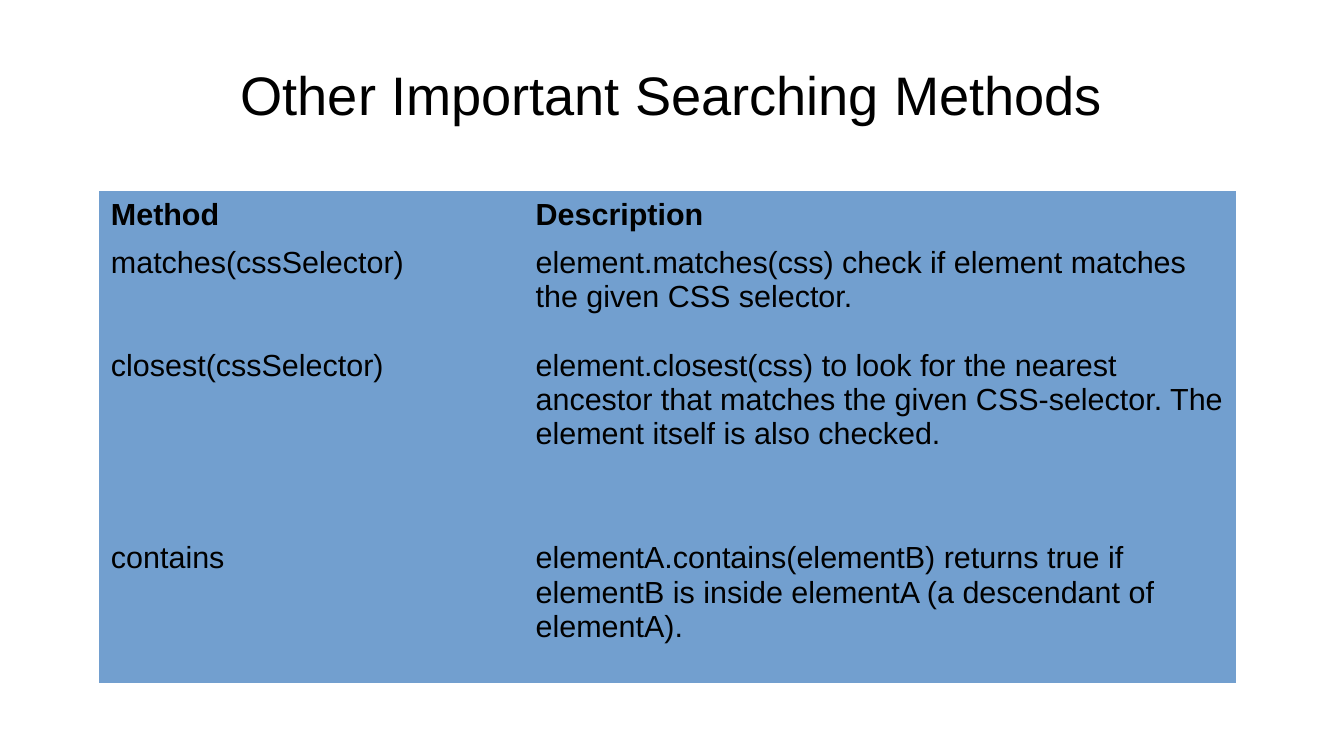
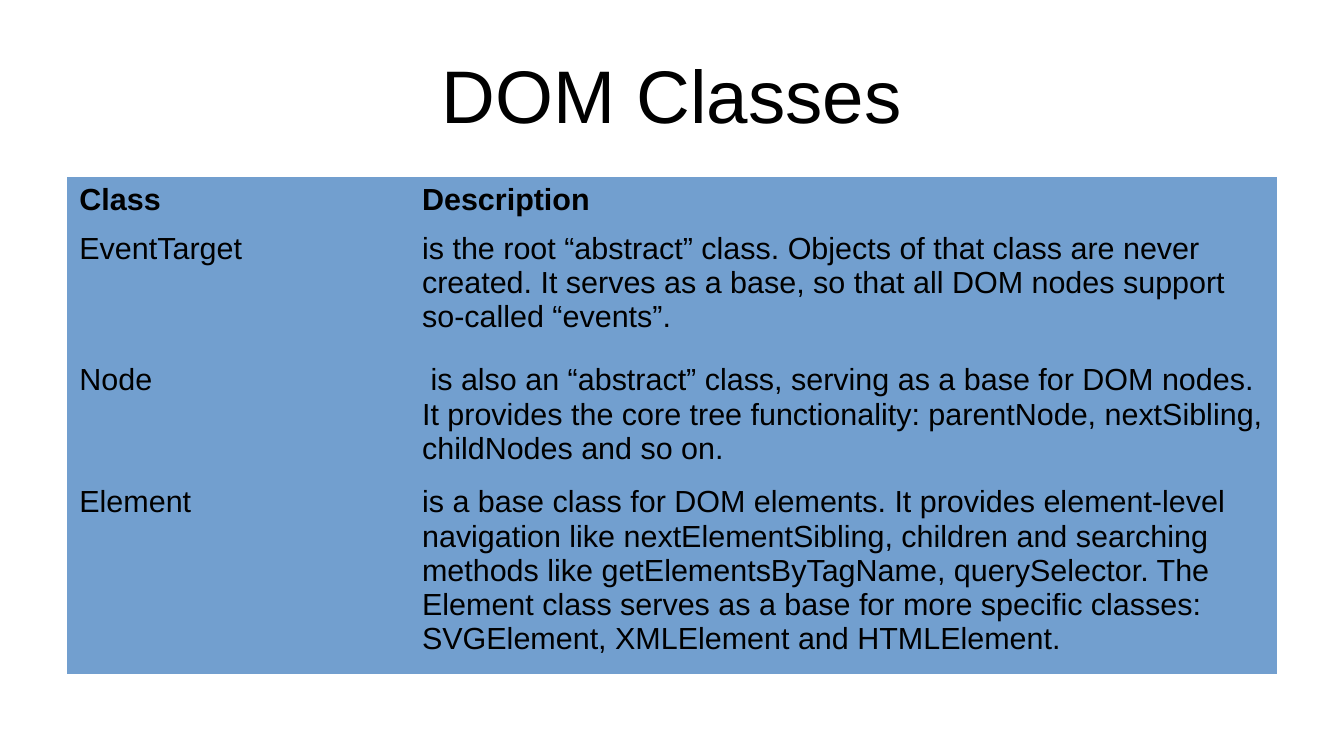
import pptx
import pptx.util
import pptx.dml.color
import pptx.enum.text

HUES = {"ink": "000000", "cell": "729FCF"}
FONT = "Arial"
PLAIN = "{2D5ABB26-0587-4C30-8999-92F81FD0307C}"  # table style without borders


def hue(name):
    return pptx.dml.color.RGBColor.from_string(HUES[name])


class Deck:
    """Style and current slide; lengths are percent of the slide's size."""

    def __init__(self, wide, high):
        self.prs = pptx.Presentation()
        self.prs.slide_width = pptx.util.Inches(wide)
        self.prs.slide_height = pptx.util.Inches(high)
        self.slide = None

    def across(self, share):
        return round(self.prs.slide_width * share / 100)

    def down(self, share):
        return round(self.prs.slide_height * share / 100)

    def style(self, frame, size, bold=False):
        for para in frame.paragraphs:
            for run in para.runs:
                font = run.font
                font.name, font.size, font.bold = FONT, pptx.util.Pt(size), bold
                font.color.rgb = hue("ink")

    # New slide with its centred title
    def page(self, title, size):
        self.slide = self.prs.slides.add_slide(self.prs.slide_layouts[5])
        box = self.slide.shapes.title
        box.left, box.width = self.across(5), self.across(90)
        box.top, box.height = self.down(4), self.down(16.8)
        frame = box.text_frame
        frame.margin_left = frame.margin_right = 0
        frame.margin_top = frame.margin_bottom = 0
        frame.vertical_anchor = pptx.enum.text.MSO_ANCHOR.MIDDLE
        frame.text = title
        frame.paragraphs[0].alignment = pptx.enum.text.PP_ALIGN.CENTER
        self.style(frame, size)

    # Table with a bold first row
    def table(self, left, top, cols, rows, cells):
        shape = self.slide.shapes.add_table(
            len(rows), len(cols), self.across(left), self.down(top),
            self.across(sum(cols)), self.down(sum(rows)))
        grid = shape.table
        grid.first_row = grid.horz_banding = False
        grid._tbl.tblPr[0].text = PLAIN
        for col, share in zip(grid.columns, cols):
            col.width = self.across(share)
        for row, share in zip(grid.rows, rows):
            row.height = self.down(share)
        for r, line in enumerate(cells):
            for c, text in enumerate(line):
                cell = grid.cell(r, c)
                cell.fill.solid()
                cell.fill.fore_color.rgb = hue("cell")
                cell.text_frame.text = text
                self.style(cell.text_frame, 18, bold=r == 0)


def main():
    deck = Deck(11.02, 6.2)

    # Searching methods
    deck.page("Other Important Searching Methods", 32)
    deck.table(7.35, 25.3, [31.6, 53], [6.45, 13.55, 25.5, 19.5], [
        ("Method", "Description"),
        ("matches(cssSelector)",
         "element.matches(css) check if element matches the given CSS "
         "selector."),
        ("closest(cssSelector)",
         "element.closest(css) to look for the nearest ancestor that matches "
         "the given CSS-selector. The element itself is also checked."),
        ("contains",
         "elementA.contains(elementB) returns true if elementB is inside "
         "elementA (a descendant of elementA)."),
    ])

    # DOM classes
    deck.page("DOM Classes", 44)
    deck.table(5, 23.4, [25.5, 64.5], [6.45, 17.4, 16.15, 25.8], [
        ("Class", "Description"),
        ("EventTarget",
         "is the root “abstract” class. Objects of that class are never "
         "created. It serves as a base, so that all DOM nodes support "
         "so-called “events”."),
        ("Node",
         " is also an “abstract” class, serving as a base for DOM nodes. "
         "It provides the core tree functionality: parentNode, nextSibling, "
         "childNodes and so on."),
        ("Element",
         "is a base class for DOM elements. It provides element-level "
         "navigation like nextElementSibling, children and searching methods "
         "like getElementsByTagName, querySelector. The Element class serves "
         "as a base for more specific classes: SVGElement, XMLElement and "
         "HTMLElement."),
    ])

    deck.prs.save("out.pptx")


if __name__ == "__main__":
    main()
